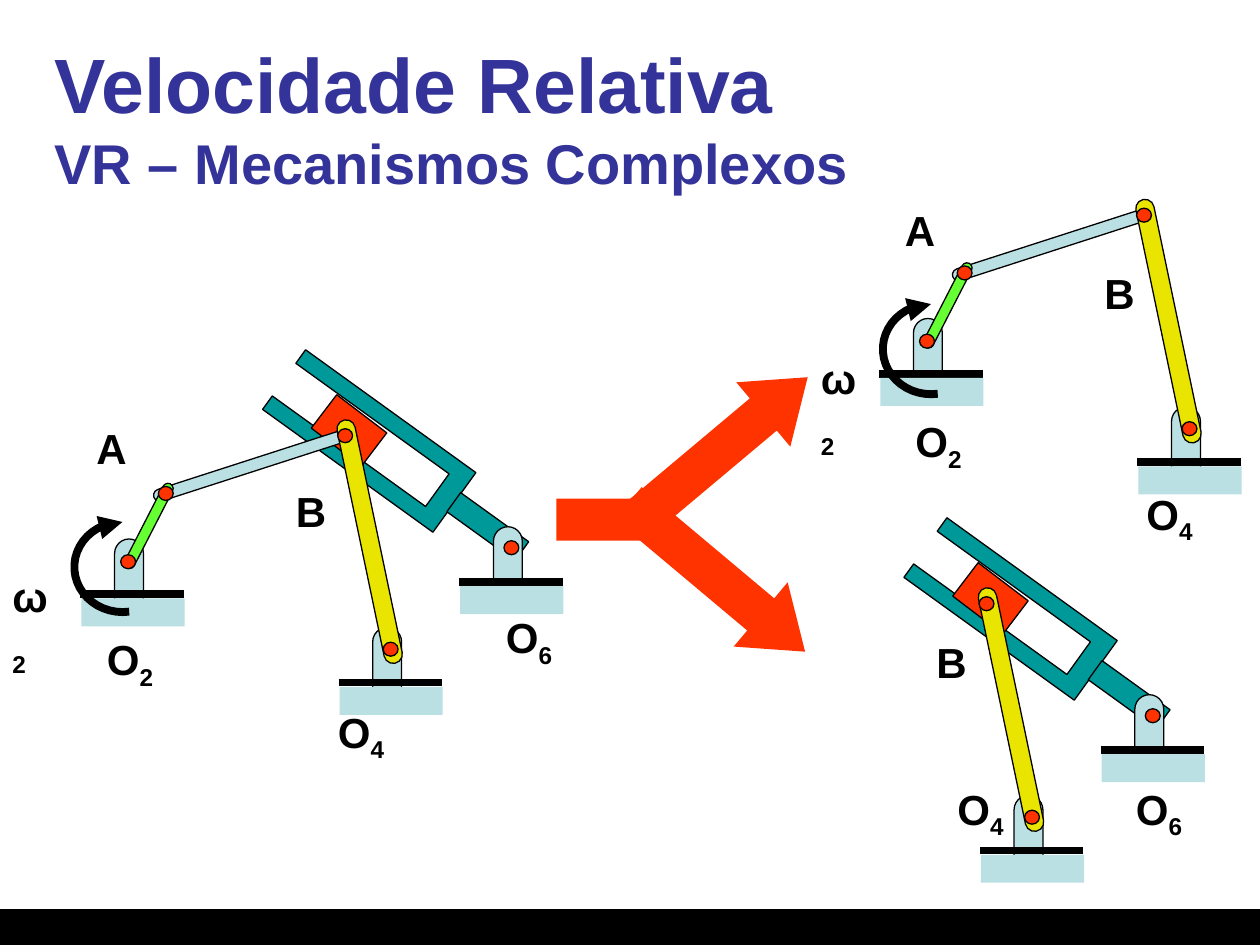
from dataclasses import dataclass
from math import cos, radians, sin

from lxml.etree import SubElement
from pptx import Presentation
from pptx.dml.color import RGBColor
from pptx.enum.shapes import MSO_CONNECTOR, MSO_SHAPE
from pptx.enum.text import MSO_ANCHOR, MSO_AUTO_SIZE
from pptx.oxml.ns import qn
from pptx.util import Pt


@dataclass(frozen=True)
class Theme:
    font: str = "Arial"
    black: str = "000000"
    title: str = "333399"
    steel: str = "BBE0E3"
    teal: str = "009999"
    red: str = "FF3300"
    green: str = "66FF33"
    yellow: str = "E9E400"
    title_size: float = 44
    subtitle_size: float = 32
    label_size: float = 24
    thin: float = 0.75
    thick: float = 4.5


THEME = Theme()
PIN_SIZE = (8.5, 8)
# Pin positions: left, top
PIN_A, PIN_B = (90.5, 278), (193, 245)
PIN_O2, PIN_O4, PIN_O6 = (69, 317), (219, 367), (288, 309)
# Fork outline, open at the top
FORK = [(9.5, 0), (9.5, 108), (32.5, 108), (32.5, 0),
        (42, 0), (42, 120), (0, 120), (0, 0)]


def paint(shape, fill=None, line=None, width=THEME.thin):
    shape.shadow.inherit = False
    if fill:
        shape.fill.solid()
        shape.fill.fore_color.rgb = RGBColor.from_string(fill)
    else:
        shape.fill.background()
    if line:
        shape.line.color.rgb = RGBColor.from_string(line)
        shape.line.width = Pt(width)
    else:
        shape.line.fill.background()


def add_part(owner, kind, at, fill, line=THEME.black, rotation=0, adjust=()):
    shape = owner.shapes.add_shape(kind, *map(Pt, at))
    for index, value in enumerate(adjust):
        shape.adjustments[index] = value
    shape.rotation = rotation
    paint(shape, fill, line)
    return shape


def add_bar(owner, at, fill, rotation=0):
    add_part(owner, MSO_SHAPE.ROUNDED_RECTANGLE, at, fill,
             rotation=rotation, adjust=[0.5])


def add_pin(owner, place):
    add_part(owner, MSO_SHAPE.OVAL, (*place, *PIN_SIZE), THEME.red)


def add_outline(owner, points, closed):
    points = [(Pt(x), Pt(y)) for x, y in points]
    builder = owner.shapes.build_freeform(*points[0])
    builder.add_line_segments(points[1:], close=closed)
    return builder.convert_to_shape()


def add_support(owner, left, top):
    """Fixed pivot: rounded post, ground line and ground block."""
    add_bar(owner, (left, top, 16.5, 47), THEME.steel)
    ground = owner.shapes.add_connector(
        MSO_CONNECTOR.STRAIGHT, Pt(left - 19.5), Pt(top + 31.5),
        Pt(left + 39.5), Pt(top + 31.5))
    ground.line.color.rgb = RGBColor.from_string(THEME.black)
    ground.line.width = Pt(THEME.thick)
    SubElement(ground._element.spPr, qn("a:effectLst"))
    add_part(owner, MSO_SHAPE.RECTANGLE, (left - 19, top + 34, 59, 16),
             THEME.steel, line=None)


def add_rotation_arrow(owner):
    """Open arc around pivot O2, with its arrowhead at the top."""
    steps, sweep = 24, 188
    angles = [radians(270 - sweep * step / steps) for step in range(steps + 1)]
    points = [(70 + 27.5 * cos(angle), 324 + 25.75 * sin(angle))
              for angle in angles]
    arc = add_outline(owner, points, closed=False)
    paint(arc, line=THEME.black, width=THEME.thick)
    SubElement(arc.line._get_or_add_ln(), qn("a:headEnd"), type="triangle")


def add_span(para, text, size, color=THEME.black, subscript=False):
    span = para.add_run()
    span.text = text
    span.font.name = THEME.font
    span.font.size = Pt(size)
    span.font.bold = True
    span.font.color.rgb = RGBColor.from_string(color)
    if subscript:
        span.font._element.set("baseline", "-25000")


def add_label(owner, text, left, top):
    """Joint name: a letter, and its index as a subscript."""
    width = {"ω": 39.5, "O": 42}.get(text[0], 31.5)
    box = owner.shapes.add_textbox(Pt(left), Pt(top), Pt(width), Pt(36))
    box.text_frame.word_wrap = True
    box.text_frame.auto_size = MSO_AUTO_SIZE.SHAPE_TO_FIT_TEXT
    para = box.text_frame.paragraphs[0]
    add_span(para, text[0], THEME.label_size)
    if text[1:]:
        add_span(para, text[1:], THEME.label_size, subscript=True)


def add_title(page):
    box = page.shapes.add_textbox(Pt(24), Pt(21.5), Pt(672), Pt(90))
    box.text_frame.word_wrap = True
    box.text_frame.vertical_anchor = MSO_ANCHOR.MIDDLE
    para = box.text_frame.paragraphs[0]
    add_span(para, "Velocidade Relativa", THEME.title_size, THEME.title)
    para.add_line_break()
    add_span(para, "VR – Mecanismos Complexos", THEME.subtitle_size, THEME.title)


def add_fork(owner):
    fork = add_outline(owner, [(190 + x, 192 + y) for x, y in FORK], closed=True)
    fork.rotation = 305.8
    paint(fork, THEME.teal, THEME.black)
    add_part(owner, MSO_SHAPE.RECTANGLE, (272, 277, 13.5, 48), THEME.teal,
             rotation=305.8)
    add_part(owner, MSO_SHAPE.RECTANGLE, (181.5, 234, 36, 24), THEME.red,
             rotation=37.3)


def add_mechanism(page, shift=(0, 0), four_bar=True, slider=True):
    group = page.shapes.add_group_shape()
    if slider:
        add_fork(group)
    if four_bar:
        add_support(group, 65.5, 308)
        add_bar(group, (142, 205, 7, 121), THEME.steel, 72.1)
        add_bar(group, (82, 273.5, 6, 54), THEME.green, 207.2)
        add_pin(group, PIN_A)
        add_pin(group, PIN_O2)
    # Rocker, shared by both halves
    add_support(group, 213, 358.5)
    add_bar(group, (206, 238.5, 10.5, 142), THEME.yellow, 348.2)
    add_pin(group, PIN_B)
    add_pin(group, PIN_O4)
    if slider:
        add_support(group, 282, 301)
        add_pin(group, PIN_O6)
    move(group, shift)


def add_four_bar_labels(page, shift=(0, 0)):
    group = page.shapes.add_group_shape()
    add_rotation_arrow(group)
    for text, left, top in [("ω2", 0, 322.5), ("O2", 54, 358.5),
                            ("O4", 186, 400), ("B", 162, 274), ("A", 48, 238)]:
        add_label(group, text, left, top)
    move(group, shift)


def move(group, shift):
    group.left += Pt(shift[0])
    group.top += Pt(shift[1])


def add_split_arrow(page):
    group = page.shapes.add_group_shape()
    for left, top, rotation in [(345, 234, 320), (343.5, 306, 40)]:
        add_part(group, MSO_SHAPE.RIGHT_ARROW, (left, top, 132, 48), THEME.red,
                 line=None, rotation=rotation, adjust=[0.5, 0.69])
    add_part(group, MSO_SHAPE.RECTANGLE, (318, 285, 66, 24), THEME.red, line=None)


def main():
    deck = Presentation()
    deck.slide_width, deck.slide_height = Pt(720), Pt(540)
    page = deck.slides.add_slide(deck.slide_layouts[6])

    # Footer band and title
    add_part(page, MSO_SHAPE.RECTANGLE, (0, 520, 720, 20), THEME.black)
    add_title(page)

    # Complete mechanism
    add_mechanism(page)
    add_four_bar_labels(page)
    add_label(page, "O6", 282, 346)

    # Its two halves
    add_split_arrow(page)
    add_mechanism(page, shift=(456.5, -126), slider=False)
    add_four_bar_labels(page, shift=(462, -124.5))
    add_mechanism(page, shift=(366.5, 96), four_bar=False)
    for text, left, top in [("O4", 540, 444), ("B", 528, 360), ("O6", 642, 444)]:
        add_label(page, text, left, top)

    deck.save("out.pptx")


if __name__ == "__main__":
    main()
